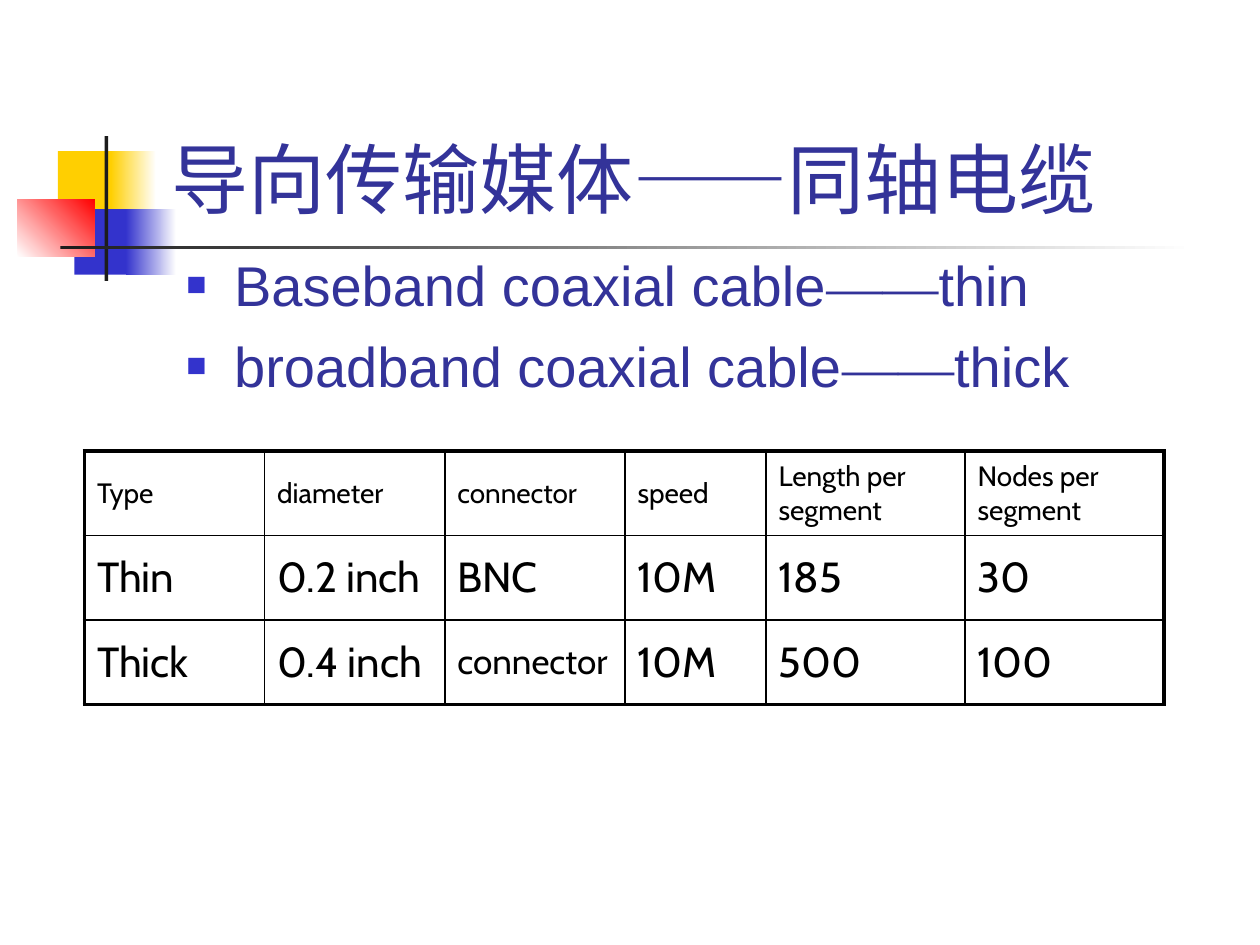
from lxml import etree
from pptx import Presentation, util as u
from pptx.dml.color import RGBColor
from pptx.enum import shapes, text
from pptx.oxml.ns import qn

YELLOW = RGBColor(0xFF, 0xCF, 0x01)
BLUE = RGBColor(0x33, 0x33, 0xCC)
RED = RGBColor(0xFF, 0x00, 0x00)
DARK = RGBColor(0x1C, 0x1C, 0x1C)
INDIGO = RGBColor(0x33, 0x33, 0x99)
BLACK = RGBColor(0x00, 0x00, 0x00)
WHITE = RGBColor(0xFF, 0xFF, 0xFF)

TITLE = "导向传输媒体——同轴电缆"
BULLETS = [
    [("Baseband coaxial cable", "Arial"), ("——", "Times New Roman"), ("thin", "Arial")],
    [("broadband coaxial cable", "Arial"), ("——", "Times New Roman"), ("thick", "Arial")],
]
ROWS = [
    ["Type", "diameter", "connector", "speed", "Length per segment", "Nodes per segment"],
    ["Thin", "0.2 inch", "BNC", "10M", "185", "30"],
    ["Thick", "0.4 inch", "connector", "10M", "500", "100"],
]
HEADER_SIZE, BODY_SIZE = 16, 24
SPECIAL_SIZES = {(2, 2): 20}
COLUMN_WIDTHS = [1.43, 1.43, 1.43, 1.12, 1.58, 1.58]
ROW_HEIGHT = 0.67
OUTER, INNER = 2.25, 1

ORNAMENTS = [
    ((0.46, 1.2, 0.48, 0.52), [YELLOW], 0),
    ((0.88, 1.2, 0.36, 0.52), [YELLOW, WHITE], 0),
    ((0.59, 1.66, 0.46, 0.52), [BLUE], 0),
    ((1, 1.66, 0.4, 0.52), [BLUE, WHITE], 0),
    ((0.14, 1.58, 0.61, 0.46), [WHITE, RED], 45),
    ((0.83, 1.08, 0.03, 1.15), [DARK], 0),
    ((0.48, 1.95, 9, 0.03), [DARK, WHITE], 0),
]


def inches(values):
    return [u.Inches(value) for value in values]


def style(font, color, **values):
    for name, value in values.items():
        setattr(font, name, value)
    font.color.rgb = color


def add_ornament(slide, place, colors, angle):
    block = slide.shapes.add_shape(shapes.MSO_SHAPE.RECTANGLE, *inches(place))
    block.shadow.inherit = False
    block.line.fill.background()
    if len(colors) == 1:
        block.fill.solid()
        block.fill.fore_color.rgb = colors[0]
        return
    block.fill.gradient()
    block.fill.gradient_angle = angle
    for stop, color in zip(block.fill.gradient_stops, colors):
        stop.color.rgb = color


def add_text_box(slide, place, anchor):
    frame = slide.shapes.add_textbox(*inches(place)).text_frame
    frame.word_wrap = True
    frame.vertical_anchor = anchor
    return frame


def add_bullet(para):
    properties = para._p.get_or_add_pPr()
    properties.set("marL", str(u.Inches(0.38)))
    properties.set("indent", str(-u.Inches(0.38)))
    color = etree.SubElement(properties, qn("a:buClr"))
    etree.SubElement(color, qn("a:srgbClr"), val=str(BLUE))
    etree.SubElement(properties, qn("a:buSzPct"), val="60000")
    etree.SubElement(properties, qn("a:buFont"), typeface="Arial")
    etree.SubElement(properties, qn("a:buChar"), char="■")


def add_borders(cell, row, column):
    edges = {
        "lnL": column == 0,
        "lnR": column == len(COLUMN_WIDTHS) - 1,
        "lnT": row == 0,
        "lnB": row == len(ROWS) - 1,
    }
    properties = cell._tc.get_or_add_tcPr()
    for index, (tag, outside) in enumerate(edges.items()):
        width = u.Pt(OUTER if outside else INNER)
        line = etree.Element(qn(f"a:{tag}"), w=str(width))
        fill = etree.SubElement(line, qn("a:solidFill"))
        etree.SubElement(fill, qn("a:srgbClr"), val=str(BLACK))
        properties.insert(index, line)


def add_cable_table(slide):
    place = (0.67, 3.58, sum(COLUMN_WIDTHS), ROW_HEIGHT * len(ROWS))
    table = slide.shapes.add_table(len(ROWS), len(COLUMN_WIDTHS), *inches(place)).table
    table.first_row = table.horz_banding = False
    for column, width in zip(table.columns, COLUMN_WIDTHS):
        column.width = u.Inches(width)
    for r, words in enumerate(ROWS):
        table.rows[r].height = u.Inches(ROW_HEIGHT)
        for c, word in enumerate(words):
            cell = table.cell(r, c)
            cell.text = word
            cell.vertical_anchor = text.MSO_ANCHOR.MIDDLE
            cell.fill.background()
            size = SPECIAL_SIZES.get((r, c), BODY_SIZE if r else HEADER_SIZE)
            span = cell.text_frame.paragraphs[0].runs[0]
            style(span.font, BLACK, name="Cabin", size=u.Pt(size))
            add_borders(cell, r, c)


def main():
    deck = Presentation()
    deck.slide_width, deck.slide_height = inches((10, 7.5))
    slide = deck.slides.add_slide(deck.slide_layouts[6])

    for ornament in ORNAMENTS:
        add_ornament(slide, *ornament)

    body = add_text_box(slide, (1.38, 1.94, 7.21, 1.38), text.MSO_ANCHOR.TOP)
    for index, parts in enumerate(BULLETS):
        para = body.add_paragraph() if index else body.paragraphs[0]
        add_bullet(para)
        if index:
            para.space_before = u.Pt(7.7)
        for words, name in parts:
            span = para.add_run()
            span.text = words
            style(span.font, INDIGO, name=name, size=u.Pt(32))

    add_cable_table(slide)

    title = add_text_box(slide, (1.26, 0.23, 8.52, 1.6), text.MSO_ANCHOR.BOTTOM)
    span = title.paragraphs[0].add_run()
    span.text = TITLE
    style(span.font, INDIGO, name="Arial", size=u.Pt(44))

    deck.save("out.pptx")


if __name__ == "__main__":
    main()
